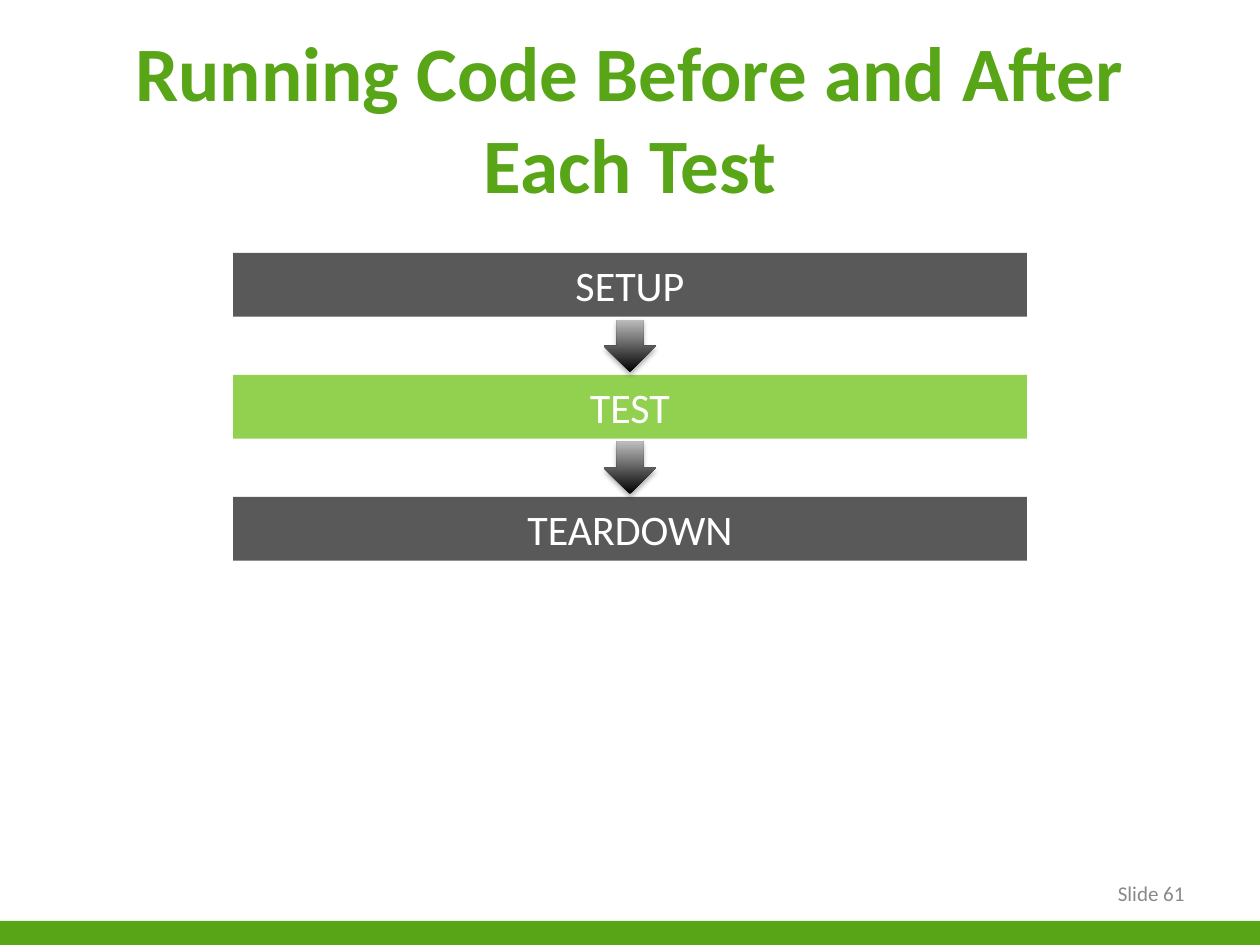
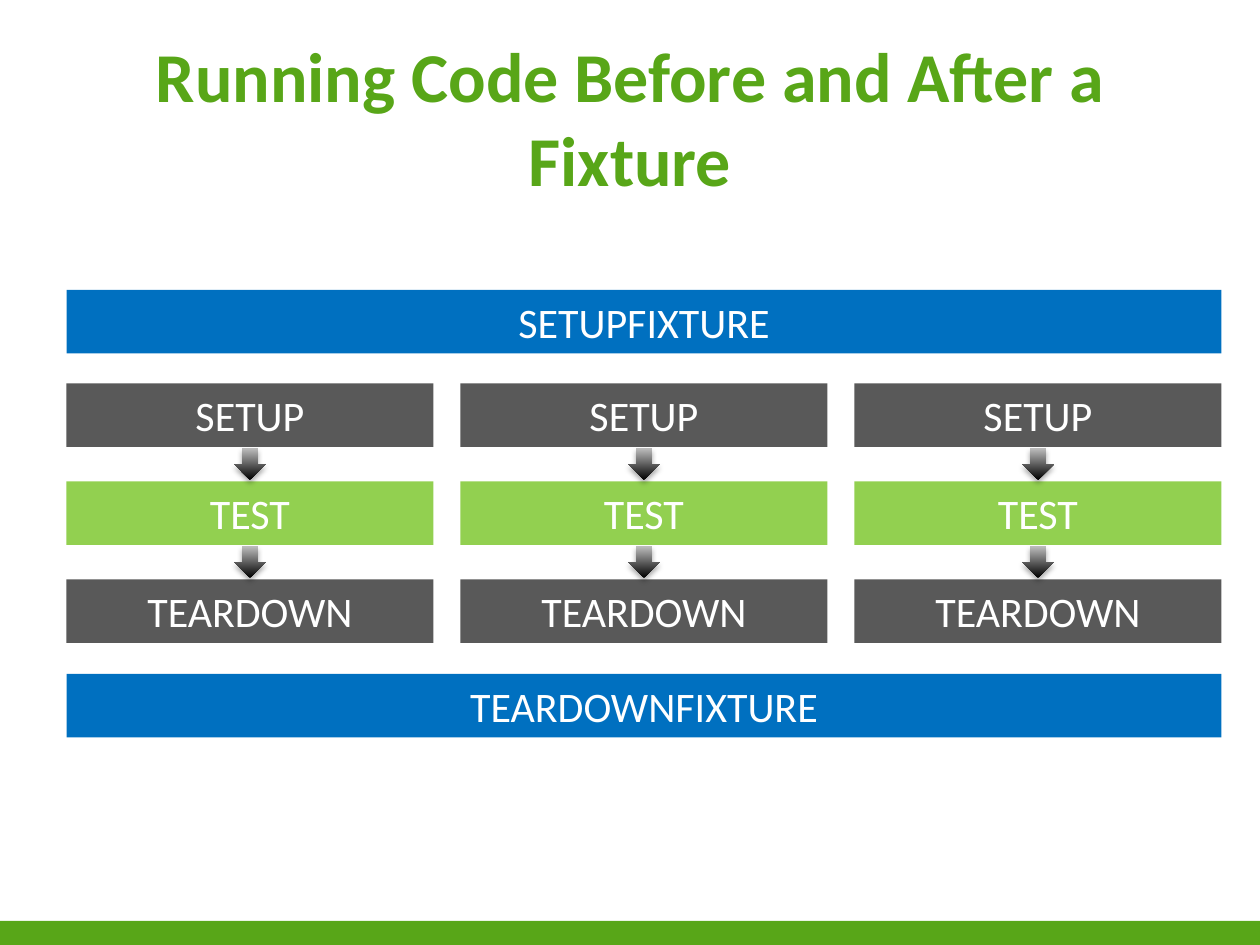
from lxml import etree
from pptx import Presentation
from pptx.dml.color import RGBColor
from pptx.enum.shapes import MSO_SHAPE as Shape
from pptx.enum.text import MSO_ANCHOR as Anchor, MSO_AUTO_SIZE as AutoSize, PP_ALIGN as Align
from pptx.oxml.ns import qn
from pptx.util import Pt

COLORS = {
    "brand": "58A618", "step": "595959", "test": "92D050", "fixture": "0070C0",
    "white": "FFFFFF", "number": "898989", "dark": "000000", "light": "BDBDBD",
}
FONT = "Calibri"
BAR_HEIGHT = 36.35
STEPS = [("SETUP", "step"), ("TEST", "test"), ("TEARDOWN", "step")]

SINGLE_FLOW = {"width": 453.6, "top": 144.6, "pitch": 69.7, "arrow": 30}
COLUMN_FLOW = {"width": 209.7, "top": 219.1, "pitch": 56, "arrow": 18}
FIXTURE_LEFT, FIXTURE_WIDTH = 38, 660
COLUMN_COUNT = 3
COLUMN_STEP = (FIXTURE_WIDTH - COLUMN_FLOW["width"]) / (COLUMN_COUNT - 1)

SLIDES = [
    {
        "title": ("Running Code Before and After Each Test", 44),
        "number": "Slide 61",
        "flow": SINGLE_FLOW,
        "lefts": [133.2],
        "fixtures": [],
    },
    {
        "title": ("Running Code Before and After a Fixture", 40),
        "number": None,
        "flow": COLUMN_FLOW,
        "lefts": [FIXTURE_LEFT + i * COLUMN_STEP for i in range(COLUMN_COUNT)],
        "fixtures": [("SETUPFIXTURE", 165.7), ("TEARDOWNFIXTURE", 385.1)],
    },
]


def color(name):
    return RGBColor.from_string(COLORS[name])


def write(shape, text, size, ink, align=Align.CENTER, anchor=Anchor.MIDDLE, bold=False):
    frame = shape.text_frame
    frame.word_wrap = True
    frame.vertical_anchor = anchor
    para = frame.paragraphs[0]
    para.text = text
    para.alignment = align
    para.font.name = FONT
    para.font.size = Pt(size)
    para.font.bold = bold
    para.font.color.rgb = color(ink)


def add_text(page, left, top, width, height, *args, **kwargs):
    box = page.shapes.add_textbox(Pt(left), Pt(top), Pt(width), Pt(height))
    write(box, *args, **kwargs)


def add_plain(page, kind, left, top, width, height):
    shape = page.shapes.add_shape(kind, Pt(left), Pt(top), Pt(width), Pt(height))
    shape.line.fill.background()
    shape.shadow.inherit = False
    return shape


def add_rect(page, fill, left, top, width, height):
    rect = add_plain(page, Shape.RECTANGLE, left, top, width, height)
    rect.fill.solid()
    rect.fill.fore_color.rgb = color(fill)
    return rect


def add_bar(page, text, fill, left, top, width):
    bar = add_rect(page, fill, left, top, width, BAR_HEIGHT)
    write(bar, text, 24, "white", anchor=Anchor.TOP)
    bar.text_frame.auto_size = AutoSize.SHAPE_TO_FIT_TEXT


def add_arrow(page, left, top, size):
    arrow = add_plain(page, Shape.DOWN_ARROW, left, top, size, size)
    arrow.fill.gradient()
    arrow.fill.gradient_angle = 90
    for stop, name, position in zip(arrow.fill.gradient_stops, ("dark", "light"), (0, 1)):
        stop.color.rgb = color(name)
        stop.position = position
    effects = arrow.element.spPr.find(qn("a:effectLst"))
    shadow = etree.SubElement(effects, qn("a:outerShdw"), blurRad=str(Pt(3.1)),
                              dist=str(Pt(1.8)), dir="5400000", rotWithShape="0")
    tint = etree.SubElement(shadow, qn("a:srgbClr"), val=COLORS["dark"])
    etree.SubElement(tint, qn("a:alpha"), val="35000")


def add_flow(page, flow, left):
    size = flow["arrow"]
    gap = flow["pitch"] - BAR_HEIGHT
    for index, (text, fill) in enumerate(STEPS):
        top = flow["top"] + index * flow["pitch"]
        add_bar(page, text, fill, left, top, flow["width"])
        if index:
            add_arrow(page, left + (flow["width"] - size) / 2, top - (gap + size) / 2, size)


def add_page(deck, content):
    page = deck.slides.add_slide(deck.slide_layouts[6])
    add_rect(page, "brand", 0, 526.2, 720, 13.8)
    title, size = content["title"]
    add_text(page, 36, 21.6, 648, 90, title, size, "brand", bold=True)
    if content["number"]:
        add_text(page, 516, 496, 168, 28.8, content["number"], 12, "number", align=Align.RIGHT)
    for left in content["lefts"]:
        add_flow(page, content["flow"], left)
    for text, top in content["fixtures"]:
        add_bar(page, text, "fixture", FIXTURE_LEFT, top, FIXTURE_WIDTH)


def main():
    deck = Presentation()
    deck.slide_width, deck.slide_height = Pt(720), Pt(540)
    for content in SLIDES:
        add_page(deck, content)
    deck.save("out.pptx")


if __name__ == "__main__":
    main()
